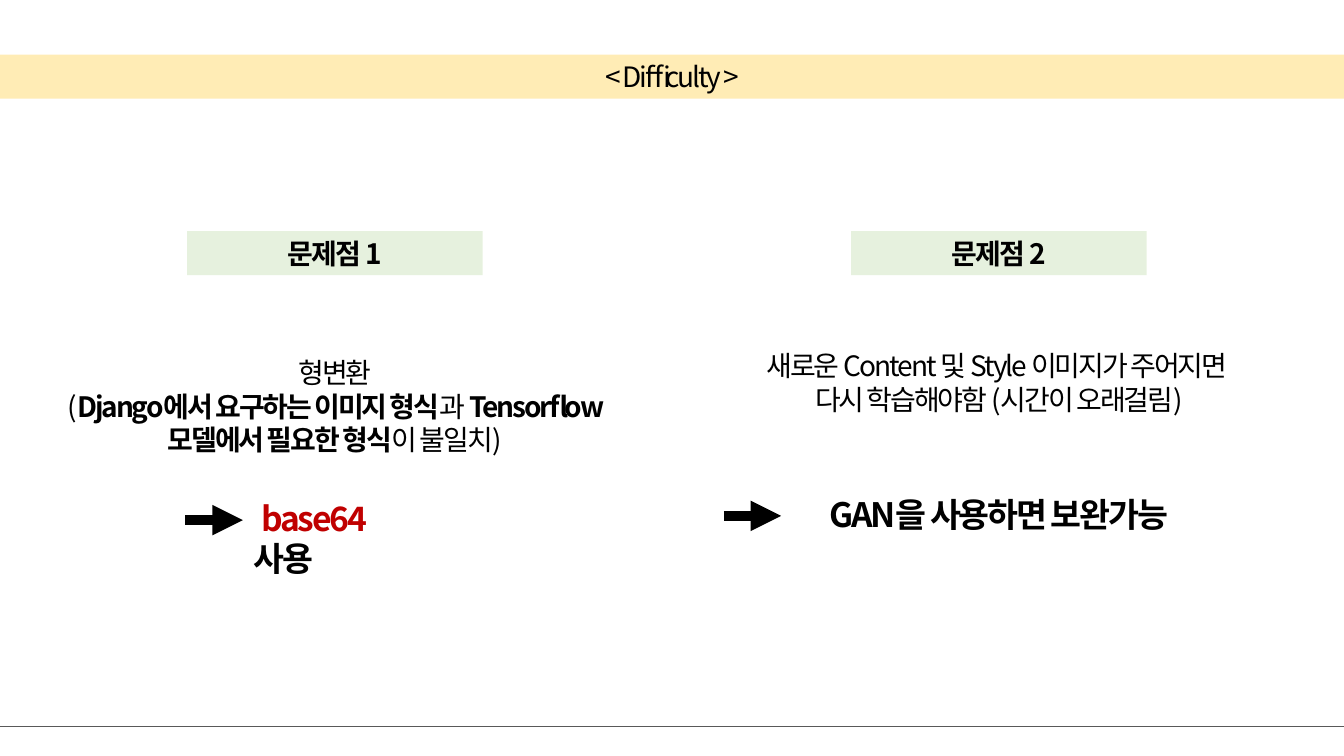
from pptx import Presentation
from pptx.dml.color import RGBColor
from pptx.enum.shapes import MSO_CONNECTOR as CONN, MSO_SHAPE as SHAPE
from pptx.enum.text import MSO_ANCHOR as ANCHOR, PP_ALIGN as ALIGN
from pptx.oxml.ns import qn
from pptx.util import Pt
from lxml import etree

FONT = "Noto Sans CJK KR"
BLACK, RED, GREY = "000000", "C00000", "595959"
YELLOW, GREEN = "FFC000", "A9D18E"
WIDTH, HEIGHT = 960, 540
BAR_H = 31.5


def rgb(color):
    return RGBColor.from_string(color)


def tint(sp, color):
    """Fill with a 29 % opaque colour."""
    sp.fill.solid()
    sp.fill.fore_color.rgb = rgb(color)
    clr = sp._element.spPr.find(qn("a:solidFill"))[0]
    etree.SubElement(clr, qn("a:alpha")).set("val", "29000")


def write(tf, lines, size=20, align=ALIGN.CENTER):
    """Each line is a list of (text, bold, colour) runs."""
    tf.word_wrap = True
    for i, runs in enumerate(lines):
        p = tf.paragraphs[0] if i == 0 else tf.add_paragraph()
        p.alignment = align
        for text, bold, color in runs:
            r = p.add_run()
            r.text = text
            r.font.size, r.font.bold, r.font.name = Pt(size), bold, FONT
            r.font.color.rgb = rgb(color)
            rPr = r._r.get_or_add_rPr()
            rPr.set("spc", "-150")
            etree.SubElement(rPr, qn("a:ea")).set("typeface", FONT)


def add_text(slide, x, y, w, h, lines, **style):
    sp = slide.shapes.add_textbox(Pt(x), Pt(y), Pt(w), Pt(h))
    write(sp.text_frame, lines, **style)
    return sp


def add_line(slide, x, y, length, color, weight, arrow=False):
    line = slide.shapes.add_connector(CONN.STRAIGHT, Pt(x), Pt(y), Pt(x + length), Pt(y))
    line.line.color.rgb = rgb(color)
    line.line.width = Pt(weight)
    if arrow:
        etree.SubElement(line.line._get_or_add_ln(), qn("a:tailEnd")).set("type", "triangle")
    etree.SubElement(line._element.spPr, qn("a:effectLst"))


def add_title(slide, x, y, w, h):
    title = slide.shapes.title
    title.left, title.top, title.width, title.height = Pt(x), Pt(y), Pt(w), Pt(h)
    tint(title, YELLOW)
    tf = title.text_frame
    tf.vertical_anchor = ANCHOR.MIDDLE
    write(tf, [[("< Difficulty >", False, BLACK)]])


def add_problem(slide, x, y, w, heading, detail, detail_y, detail_h, arrow_x, arrow_y):
    """Heading, explanation and arrow of one problem column."""
    head_w = 211
    sp = slide.shapes.add_shape(SHAPE.RECTANGLE, Pt(x + (w - head_w) / 2), Pt(y), Pt(head_w), Pt(BAR_H))
    sp.shadow.inherit = False
    sp.line.fill.background()
    tint(sp, GREEN)
    sp.text_frame.vertical_anchor = ANCHOR.MIDDLE
    write(sp.text_frame, [[(heading, True, BLACK)]])
    add_text(slide, x, y + detail_y, w, detail_h, detail)
    add_line(slide, x + arrow_x, y + arrow_y, 41, BLACK, 7.25, arrow=True)


def main():
    prs = Presentation()
    prs.slide_width, prs.slide_height = Pt(WIDTH), Pt(HEIGHT)
    slide = prs.slides.add_slide(prs.slide_layouts[5])

    # Title band
    add_title(slide, 0, 39, WIDTH, BAR_H)

    # Problem 1 and its remedy
    add_problem(slide, 38, 165, 402.5, "문제점 1", [
        [("형변환", False, BLACK)],
        [("(", False, BLACK), ("Django에서 요구하는 이미지 형식", True, BLACK), ("과 ", False, BLACK),
         ("Tensorflow 모델에서 필요한 형식", True, BLACK), ("이 불일치)", False, BLACK)],
    ], 85.5, 80, 94.5, 206.5)
    remedy = add_text(slide, 174, 352, 145.5, 36,
                      [[(" ", True, BLACK), ("base64 ", True, RED), ("사용", True, BLACK)]],
                      size=24, align=ALIGN.LEFT)
    remedy.text_frame.margin_right = Pt(30)

    # Problem 2 and its remedy
    add_problem(slide, 517, 165, 393, "문제점 2", [
        [("새로운 Content 및 Style 이미지가 주어지면 ", False, BLACK)],
        [("다시 학습해야함 (시간이 오래걸림)", False, BLACK)],
    ], 80.5, 55.5, 0, 203.5)
    add_text(slide, 538.5, 349.5, 350, 36,
             [[("GAN을 사용하면 보완가능", True, BLACK)]], size=24)

    # Footer rule
    add_line(slide, 0, 519, WIDTH, GREY, 0.5)
    prs.save("out.pptx")


if __name__ == "__main__":
    main()
